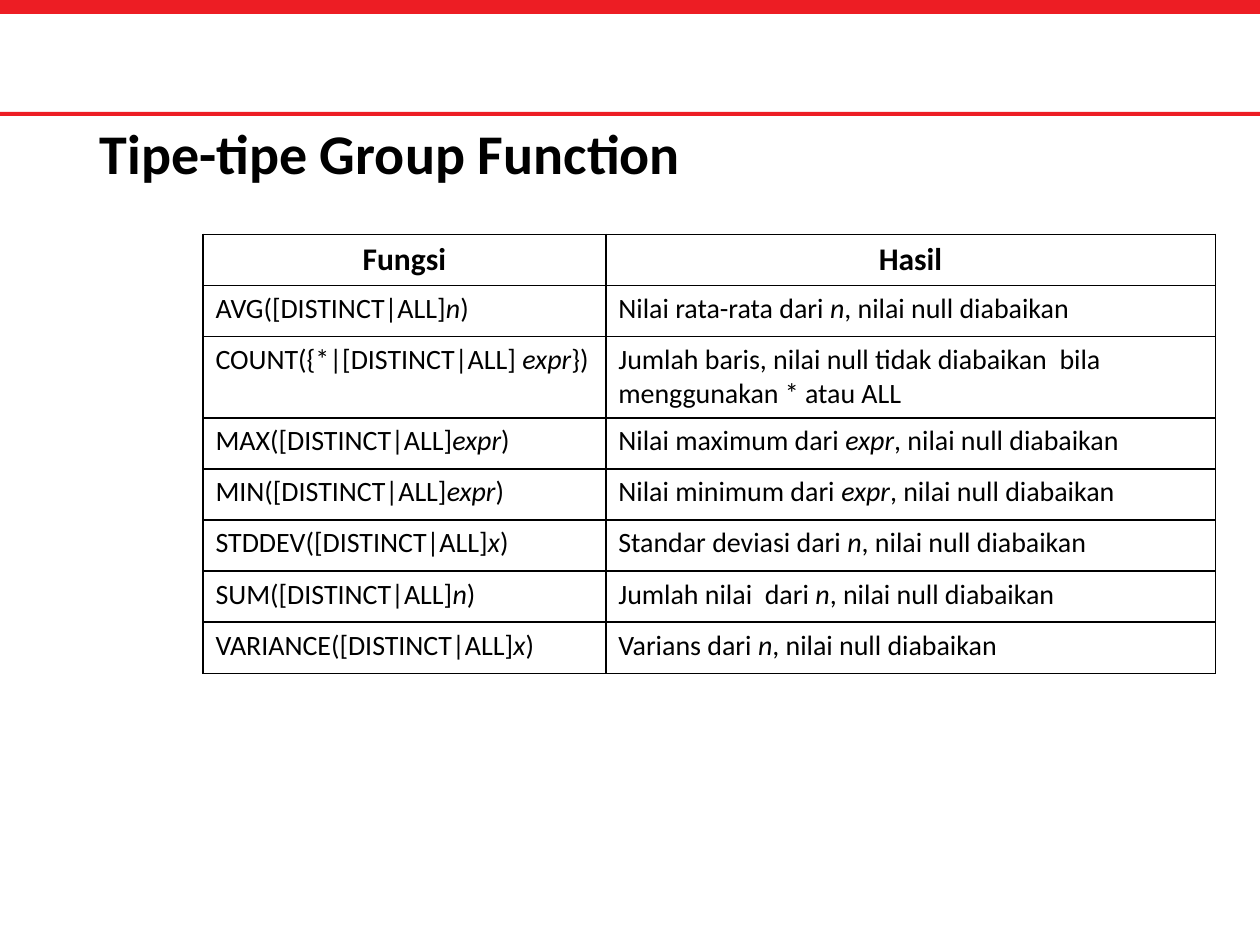
"""Build the slide on types of SQL group functions."""
import pptx
import pptx.util
import pptx.dml.color
import pptx.enum.text
import pptx.enum.shapes
import pptx.oxml
import pptx.oxml.ns
import lxml.etree

Pt = pptx.util.Pt
RGB = pptx.dml.color.RGBColor.from_string
ALIGN = pptx.enum.text.PP_ALIGN

COLORS = {"bar": "ED1D24", "text": "000000", "border": "000000"}
FONT = "Calibri"
TITLE = "Tipe-tipe Group Function"
HEADERS = ("Fungsi", "Hasil")
OPTION = "([DISTINCT|ALL]"
IGNORED = ", nilai null diabaikan"
FUNCTIONS = [
    (("AVG" + OPTION, "n", ")"), ("Nilai rata-rata dari ", "n", IGNORED)),
    (("COUNT({*|[DISTINCT|ALL] ", "expr", "})"),
     ("Jumlah baris, nilai null tidak diabaikan  bila menggunakan * atau ALL",)),
    (("MAX" + OPTION, "expr", ")"), ("Nilai maximum dari ", "expr", IGNORED)),
    (("MIN" + OPTION, "expr", ")"), ("Nilai minimum dari ", "expr", IGNORED)),
    (("STDDEV" + OPTION, "x", ")"), ("Standar deviasi dari ", "n", IGNORED)),
    (("SUM" + OPTION, "n", ")"), ("Jumlah nilai  dari ", "n", IGNORED)),
    (("VARIANCE" + OPTION, "x", ")"), ("Varians dari ", "n", IGNORED)),
]
BARS = [(0, 8), (64, 2.2)]
SLIDE_W, SLIDE_H = 720, 540
TABLE_X, TABLE_Y = 116, 134
COL_WIDTHS = (230.2, 348.3)
ROW_H = 29.2


def add_run(p, text, size, bold=False, italic=False):
    """Append one formatted run."""
    r = p.add_run()
    r.text = text
    r.font.name = FONT
    r.font.size = Pt(size)
    r.font.bold = bold
    r.font.italic = italic
    r.font.color.rgb = RGB(COLORS["text"])


def add_bar(s, top, height):
    """Draw a full-width red bar."""
    sp = s.shapes.add_shape(pptx.enum.shapes.MSO_SHAPE.RECTANGLE,
                            0, Pt(top), Pt(SLIDE_W), Pt(height))
    sp.shadow.inherit = False
    sp.fill.solid()
    sp.fill.fore_color.rgb = RGB(COLORS["bar"])
    sp.line.fill.background()


def set_borders(cell):
    """Give a cell a thin line on all four sides."""
    tcPr = cell._tc.get_or_add_tcPr()
    qn = pptx.oxml.ns.qn
    for side in ("lnL", "lnR", "lnT", "lnB"):
        ln = lxml.etree.SubElement(tcPr, qn("a:" + side), w=str(Pt(1)))
        fill = lxml.etree.SubElement(ln, qn("a:solidFill"))
        lxml.etree.SubElement(fill, qn("a:srgbClr"), val=COLORS["border"])


def add_title(s):
    """Place and fill the title placeholder."""
    sp = s.shapes.title
    sp.left, sp.top, sp.width, sp.height = Pt(49.7), Pt(71.3), Pt(620.6), Pt(36)
    tf = sp.text_frame
    tf.word_wrap = True
    tf.vertical_anchor = pptx.enum.text.MSO_ANCHOR.MIDDLE
    p = tf.paragraphs[0]
    p.alignment = ALIGN.LEFT
    p.line_spacing = 0.9
    add_run(p, TITLE, 32, bold=True)


def add_function_table(s):
    """Add the table of functions and their results."""
    rows = [tuple((h,) for h in HEADERS)] + FUNCTIONS
    table = s.shapes.add_table(len(rows), len(HEADERS), Pt(TABLE_X), Pt(TABLE_Y),
                               Pt(sum(COL_WIDTHS)), Pt(ROW_H * len(rows))).table
    table.first_row = table.horz_banding = False
    for column, width in zip(table.columns, COL_WIDTHS):
        column.width = Pt(width)
    for i, row in enumerate(rows):
        header = i == 0
        table.rows[i].height = Pt(ROW_H)
        for j, parts in enumerate(row):
            cell = table.cell(i, j)
            set_borders(cell)
            cell.fill.background()
            p = cell.text_frame.paragraphs[0]
            p.alignment = ALIGN.CENTER if header else ALIGN.LEFT
            for k, text in enumerate(parts):
                add_run(p, text, 18 if header else 16, bold=header, italic=k == 1)


def main():
    """Build and save the presentation."""
    prs = pptx.Presentation()
    prs.slide_width, prs.slide_height = Pt(SLIDE_W), Pt(SLIDE_H)
    s = prs.slides.add_slide(prs.slide_layouts[5])
    for top, height in BARS:
        add_bar(s, top, height)
    add_title(s)
    add_function_table(s)
    prs.save("out.pptx")


if __name__ == "__main__":
    main()
